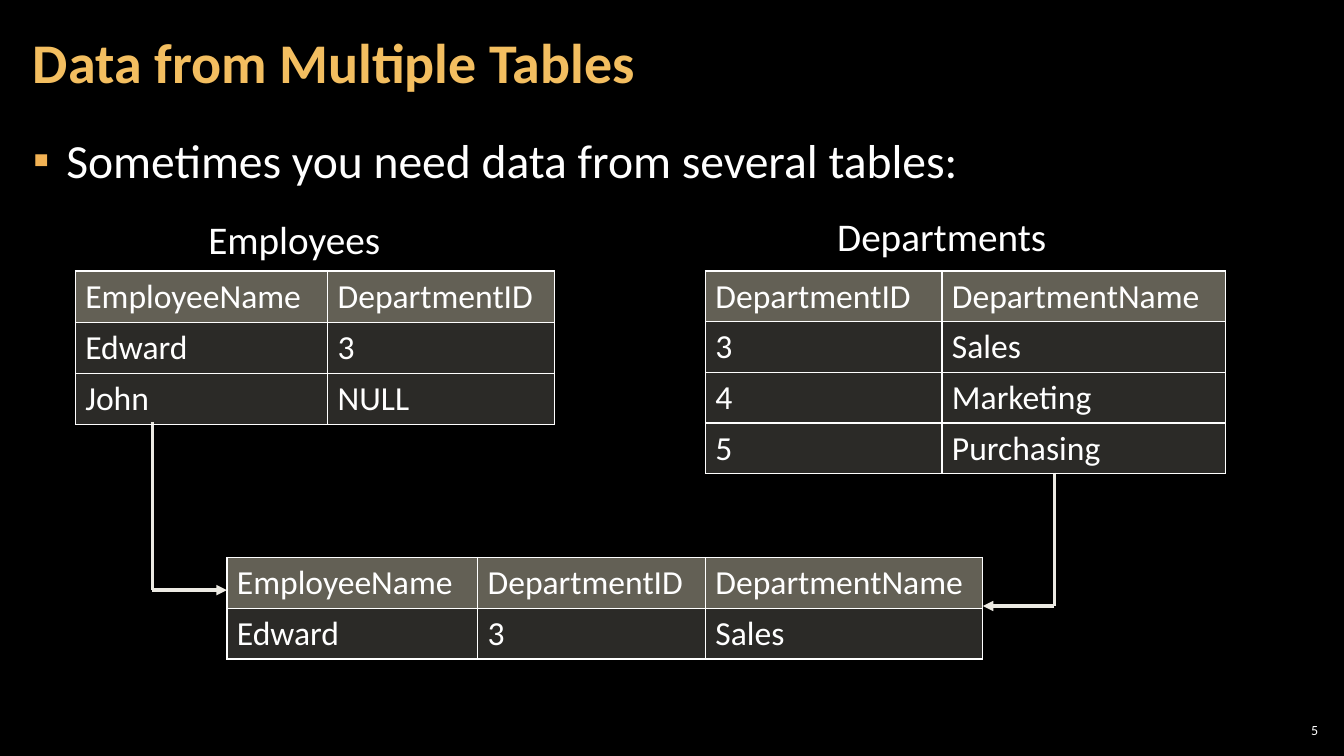
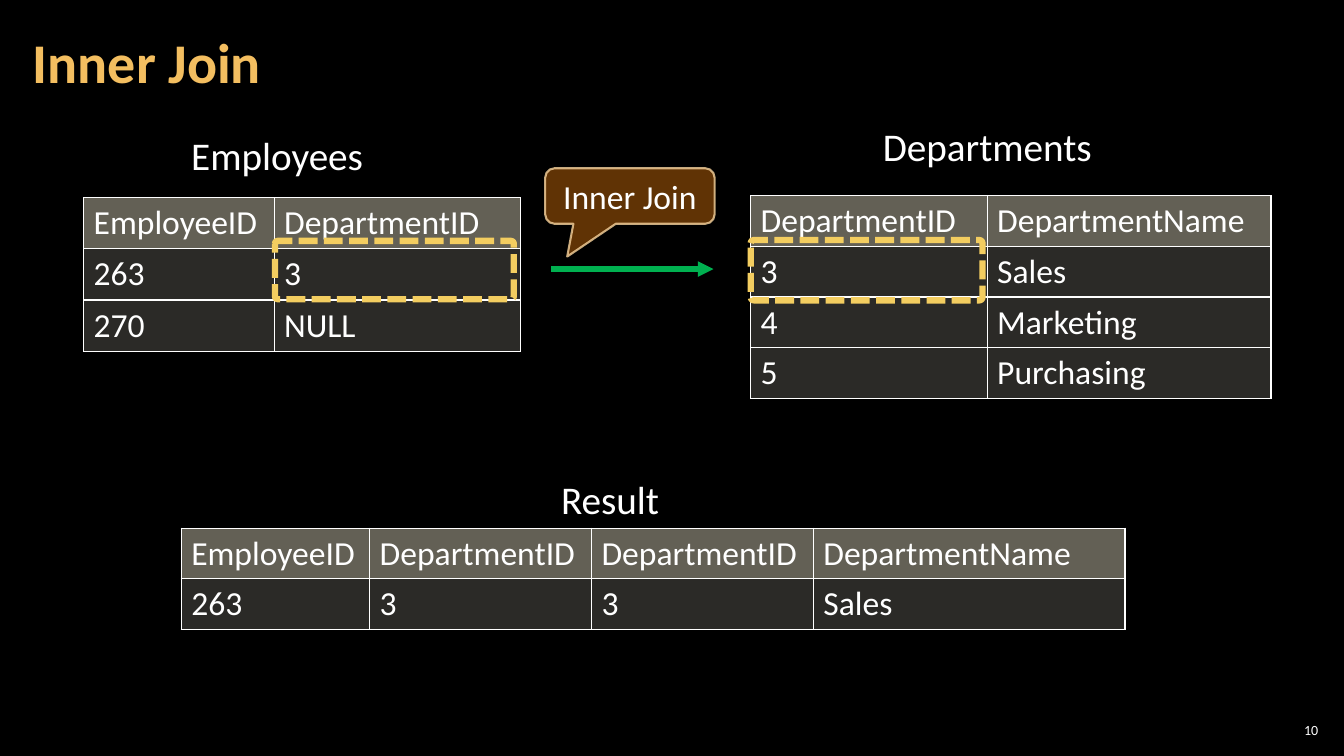
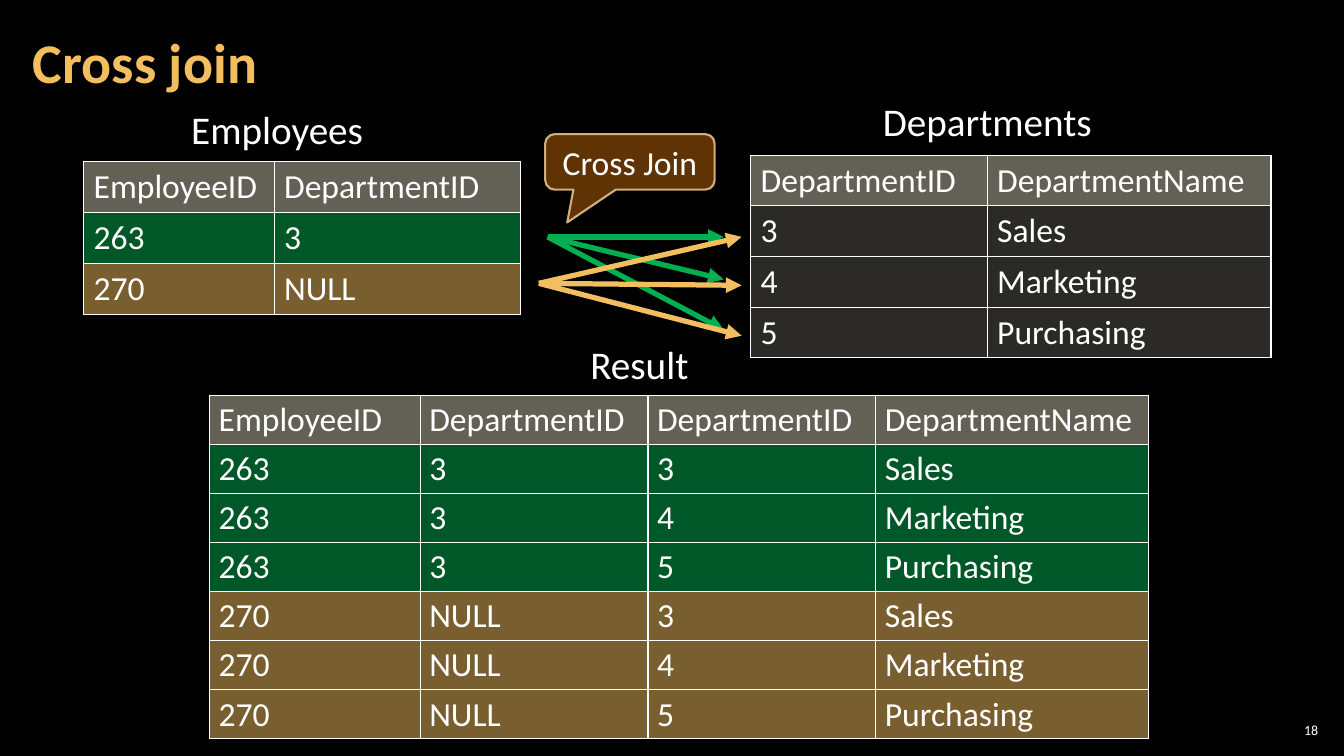
from itertools import product

from lxml import etree
from pptx import Presentation
from pptx.dml.color import RGBColor
from pptx.enum import dml, shapes, text
from pptx.oxml import ns
from pptx.util import Cm, Pt

# Shared look
FONT = "Calibri"
BLACK = RGBColor(0x00, 0x00, 0x00)
WHITE = RGBColor(0xFF, 0xFF, 0xFF)
GOLD = RGBColor(0xF3, 0xBE, 0x60)
BULLET_GOLD = RGBColor(0xF2, 0xB2, 0x54)
DASH_YELLOW = RGBColor(0xF3, 0xCD, 0x60)
GREEN = RGBColor(0x00, 0xB0, 0x50)
IVORY = RGBColor(0xEC, 0xEA, 0xE3)
HEADER_STONE = RGBColor(0xC6, 0xC0, 0xAA)
BODY_STONE = RGBColor(0xD9, 0xD5, 0xC7)
BROWN = RGBColor(0x66, 0x36, 0x06)
SAND = RGBColor(0xF8, 0xD4, 0x9E)

# Row tints: colour and opacity in percent
HEADER_TINT = (HEADER_STONE, 50)
BODY_TINT = (BODY_STONE, 20)
GREEN_TINT = (GREEN, 50)
GOLD_TINT = (GOLD, 50)

# Table content and the column widths in cm
DEPARTMENT_HEADER = ["DepartmentID", "DepartmentName"]
DEPARTMENTS = [["3", "Sales"], ["4", "Marketing"], ["5", "Purchasing"]]
DEPARTMENT_WIDTHS = [5.96, 7.15]
EMPLOYEE_HEADER = ["EmployeeID", "DepartmentID"]
EMPLOYEES = [["263", "3"], ["270", "NULL"]]
EMPLOYEE_WIDTHS = [4.8, 6.2]
JOIN_HEADER = EMPLOYEE_HEADER + DEPARTMENT_HEADER
LABEL_WIDTHS = {"Employees": 4.88, "Departments": 5.84, "Result": 3.02}


def add_xml(parent, tag, **attributes):
    names = {name: str(value) for name, value in attributes.items()}
    return etree.SubElement(parent, ns.qn(tag), names)


def set_opacity(parent, percent):
    """Make the first colour below parent partly transparent."""
    colour = parent.find(".//" + ns.qn("a:srgbClr"))
    add_xml(colour, "a:alpha", val=percent * 1000)


def set_font(para, size, colour=WHITE, bold=False):
    font = para.font
    font.name, font.size, font.bold = FONT, Pt(size), bold
    font.color.rgb = colour


def set_margins(target, side, edge):
    target.margin_left = target.margin_right = Cm(side)
    target.margin_top = target.margin_bottom = Cm(edge)


def place(shape, left, top, width, height):
    shape.left, shape.top = Cm(left), Cm(top)
    shape.width, shape.height = Cm(width), Cm(height)


# Page parts
def add_page(deck, title, number, layout="Title Only"):
    page = deck.slides.add_slide(deck.slide_layouts.get_by_name(layout))
    box = page.shapes.title
    place(box, 0.53, 0.1, 26.59, 3.07)
    frame = box.text_frame
    frame.text = title
    frame.auto_size = text.MSO_AUTO_SIZE.NONE
    frame.vertical_anchor = text.MSO_ANCHOR.MIDDLE
    set_margins(frame, 0.3, 0.1)
    para = frame.paragraphs[0]
    para.alignment = text.PP_ALIGN.LEFT
    para.line_spacing = 0.9
    set_font(para, 40, GOLD, bold=True)

    box = page.shapes.add_textbox(Cm(32.13), Cm(18.14), Cm(1.19), Cm(0.53))
    frame = box.text_frame
    frame.text = str(number)
    frame.word_wrap = True
    frame.vertical_anchor = text.MSO_ANCHOR.MIDDLE
    set_margins(frame, 0.1, 0.1)
    frame.paragraphs[0].alignment = text.PP_ALIGN.RIGHT
    set_font(frame.paragraphs[0], 10)
    return page


def add_bullet(page, words):
    box = page.placeholders[1]
    place(box, 0.53, 3.2, 32.79, 15.47)
    frame = box.text_frame
    frame.text = words
    frame.auto_size = text.MSO_AUTO_SIZE.NONE
    set_margins(frame, 0.3, 0.1)
    para = frame.paragraphs[0]
    properties = para._p.get_or_add_pPr()
    properties.set("marL", str(Cm(0.84)))
    properties.set("indent", str(-Cm(0.84)))
    colour = add_xml(properties, "a:buClr")
    add_xml(colour, "a:srgbClr", val=BULLET_GOLD)
    add_xml(properties, "a:buChar", char="▪")
    para.space_before, para.space_after = Pt(0), Pt(6)
    set_font(para, 34)


def add_label(page, words, left, top):
    box = page.shapes.add_textbox(Cm(left), Cm(top), Cm(LABEL_WIDTHS[words]), Cm(1.45))
    box.text_frame.text = words
    set_font(box.text_frame.paragraphs[0], 28)


# Tables
def add_borders(cell):
    properties = cell._tc.get_or_add_tcPr()
    for side in ("a:lnL", "a:lnR", "a:lnT", "a:lnB"):
        line = add_xml(properties, side, w=Pt(1))
        fill = add_xml(line, "a:solidFill")
        add_xml(fill, "a:srgbClr", val=WHITE)


def fill_cell(cell, words, tint, margins):
    colour, opacity = tint
    cell.fill.solid()
    cell.fill.fore_color.rgb = colour
    properties = cell._tc.tcPr
    set_opacity(properties, opacity)
    fill = properties[0]
    add_borders(cell)
    properties.append(fill)
    cell.text = words
    set_margins(cell, *margins)
    set_font(cell.text_frame.paragraphs[0], 24)


def add_grid(page, left, top, widths, header, body, tints=None,
             row_height=1.27, margins=(0.25, 0.13)):
    rows = [header] + body
    tints = [HEADER_TINT] + (tints or [BODY_TINT] * len(body))
    frame = page.shapes.add_table(len(rows), len(widths), Cm(left), Cm(top),
                                  Cm(sum(widths)), Cm(row_height * len(rows)))
    table = frame.table
    table.first_row = table.horz_banding = False
    for column, width in zip(table.columns, widths):
        column.width = Cm(width)
    for row, values, tint in zip(table.rows, rows, tints):
        row.height = Cm(row_height)
        for cell, value in zip(row.cells, values):
            fill_cell(cell, value, tint, margins)


def add_departments(page, left, top):
    add_grid(page, left, top, DEPARTMENT_WIDTHS, DEPARTMENT_HEADER, DEPARTMENTS)


def add_employees(page, top, tints=None):
    add_grid(page, 2.11, top, EMPLOYEE_WIDTHS, EMPLOYEE_HEADER, EMPLOYEES,
             tints, row_height=1.29)


# Lines and shapes
def add_line(parent, start, end, colour, width, arrow=True):
    line = parent.shapes.add_connector(shapes.MSO_CONNECTOR.STRAIGHT,
                                       *(Cm(value) for value in start + end))
    line.line.color.rgb = colour
    line.line.width = Pt(width)
    properties = line._element.spPr
    if arrow:
        add_xml(properties.find(ns.qn("a:ln")), "a:tailEnd", type="triangle")
    add_xml(properties, "a:effectLst")


def add_elbow(page, start, end):
    """Go down from start, then sideways to end with an arrowhead."""
    group = page.shapes.add_group_shape()
    corner = (start[0], end[1])
    add_line(group, start, corner, IVORY, 2.5, arrow=False)
    add_line(group, corner, end, IVORY, 2.5)


def add_shape(page, kind, area, adjustments, colour, width):
    shape = page.shapes.add_shape(kind, *(Cm(value) for value in area))
    shape.shadow.inherit = False
    for index, value in enumerate(adjustments):
        shape.adjustments[index] = value
    shape.line.color.rgb = colour
    shape.line.width = Pt(width)
    return shape


def add_highlight(page, *area):
    frame = add_shape(page, shapes.MSO_SHAPE.ROUNDED_RECTANGLE, area, [0.05],
                      DASH_YELLOW, 4.5)
    frame.fill.background()
    frame.line.dash_style = dml.MSO_LINE.SQUARE_DOT


def add_callout(page, words, top):
    callout = add_shape(page, shapes.MSO_SHAPE.ROUNDED_RECTANGULAR_CALLOUT,
                        (13.74, top, 4.27, 1.4), [-0.37, 1.09, 0.17], SAND, 1.5)
    callout.fill.solid()
    callout.fill.fore_color.rgb = BROWN
    properties = callout._element.spPr
    set_opacity(properties.find(ns.qn("a:solidFill")), 95)
    set_opacity(properties.find(ns.qn("a:ln")), 80)
    frame = callout.text_frame
    frame.text = words
    frame.vertical_anchor = text.MSO_ANCHOR.MIDDLE
    frame.paragraphs[0].alignment = text.PP_ALIGN.CENTER
    set_font(frame.paragraphs[0], 24)


# Slides
def build_multiple_tables(deck):
    page = add_page(deck, "Data from Multiple Tables", 5, "Title and Content")
    add_bullet(page, "Sometimes you need data from several tables:")
    add_elbow(page, (26.57, 11.91), (24.77, 15.27))
    add_elbow(page, (3.84, 10.64), (5.72, 14.87))
    add_label(page, "Employees", 5, 5.31)
    add_grid(page, 1.9, 6.83, [6.36, 5.71], ["EmployeeName", "DepartmentID"],
             [["Edward", "3"], ["John", "NULL"]], row_height=1.29)
    add_label(page, "Departments", 20.85, 5.23)
    add_departments(page, 17.78, 6.83)
    add_grid(page, 5.72, 14.05, [6.32, 5.74, 6.99],
             ["EmployeeName"] + DEPARTMENT_HEADER, [["Edward", "3", "Sales"]])


def build_inner_join(deck):
    page = add_page(deck, "Inner Join", 10)
    add_label(page, "Employees", 4.57, 3.18)
    add_employees(page, 4.98)
    add_label(page, "Departments", 22, 2.97)
    add_departments(page, 18.92, 4.93)
    add_line(page, (13.89, 6.78), (17.98, 6.78), GREEN, 3.75)
    add_label(page, "Result", 13.89, 11.86)
    matches = [employee + department
               for employee, department in product(EMPLOYEES, DEPARTMENTS)
               if employee[1] == department[0]]
    add_grid(page, 4.57, 13.31, [4.75, 5.59, 5.59, 7.85], JOIN_HEADER, matches)
    add_highlight(page, 6.93, 6.07, 6.02, 1.47)
    add_highlight(page, 18.92, 6.05, 5.84, 1.52)
    add_callout(page, "Inner Join", 4.24)


def build_cross_join(deck):
    page = add_page(deck, "Cross join", 18)
    tints = [GREEN_TINT, GOLD_TINT]
    add_label(page, "Employees", 4.57, 2.54)
    add_employees(page, 4.06, tints)
    add_label(page, "Departments", 22, 2.34)
    add_departments(page, 18.92, 3.91)
    add_label(page, "Result", 14.63, 8.46)
    pairs = [employee + department
             for employee, department in product(EMPLOYEES, DEPARTMENTS)]
    pair_tints = [tint for tint in tints for _ in DEPARTMENTS]
    add_grid(page, 5.28, 9.96, [5.31, 5.74, 5.74, 6.88], JOIN_HEADER, pairs,
             pair_tints, row_height=1.23, margins=(0.23, 0.11))
    # One fan of arrows for each employee
    fans = [((13.8, 5.97), 18.24, (5.97, 7.04, 8.31), GREEN),
            ((13.58, 7.14), 18.69, (5.97, 7.19, 8.46), GOLD)]
    for start, right, heights, colour in fans:
        for height in heights:
            add_line(page, start, (right, height), colour, 3.75)
    add_callout(page, "Cross Join", 3.38)


def main():
    deck = Presentation()
    deck.slide_width, deck.slide_height = Cm(33.87), Cm(19.05)
    background = deck.slide_master.background.fill
    background.solid()
    background.fore_color.rgb = BLACK
    build_multiple_tables(deck)
    build_inner_join(deck)
    build_cross_join(deck)
    deck.save("out.pptx")


if __name__ == "__main__":
    main()
